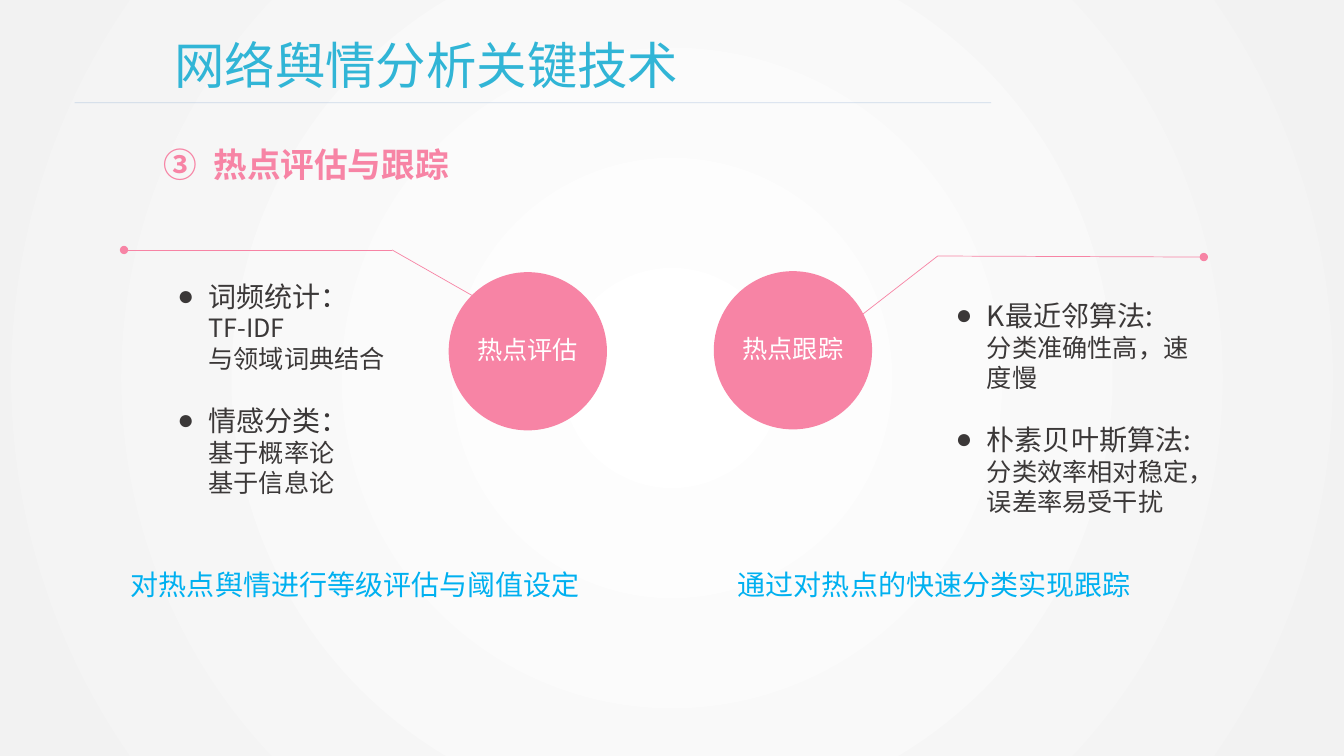
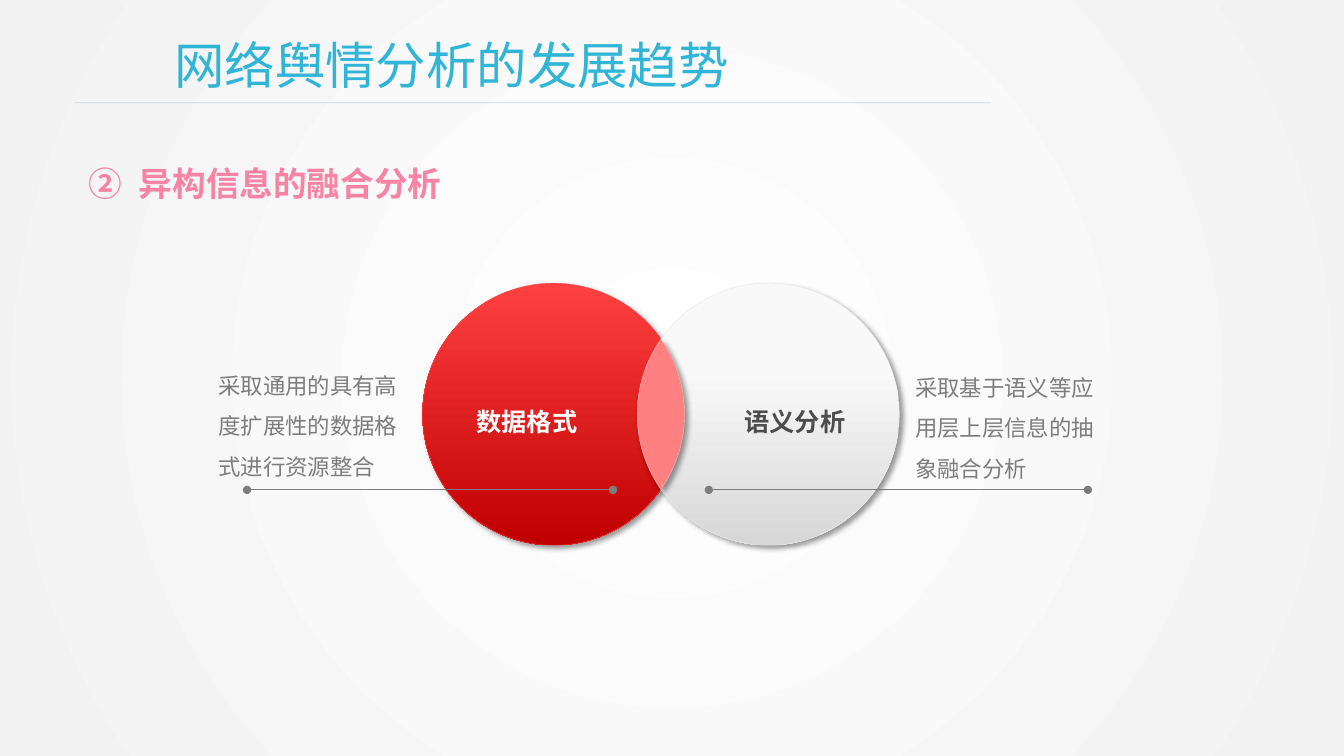
from dataclasses import dataclass
from itertools import pairwise
from math import acos, cos, pi, sin, tan

from lxml.etree import SubElement
from pptx import Presentation
from pptx.dml.color import RGBColor
from pptx.enum.dml import MSO_LINE
from pptx.enum.shapes import MSO_CONNECTOR, MSO_SHAPE
from pptx.enum.text import MSO_ANCHOR, PP_ALIGN
from pptx.oxml.ns import qn
from pptx.util import Inches, Pt

FONT = "Noto Sans CJK SC"
WHITE = RGBColor(0xFF, 0xFF, 0xFF)
PALE = RGBColor(0xF2, 0xF2, 0xF2)
PINK = RGBColor(0xF7, 0x84, 0xA5)
TEAL = RGBColor(0x31, 0xB5, 0xD6)
SKY = RGBColor(0x00, 0xB0, 0xF0)
RULE = RGBColor(0x4A, 0x7E, 0xBB)
DARK = RGBColor(0x3B, 0x38, 0x38)
GREY = RGBColor(0x7D, 0x7D, 0x7D)
CHARCOAL = RGBColor(0x4D, 0x4D, 0x4D)
RED = RGBColor(0xFF, 0x40, 0x40)
DEEP_RED = RGBColor(0xC0, 0x00, 0x00)
SILVER = RGBColor(0xF9, 0xF9, 0xF9)
DEEP_SILVER = RGBColor(0xD7, 0xD7, 0xD7)
SILVER_EDGE = RGBColor(0xEA, 0xEA, 0xEA)
ROSE = RGBColor(0xFF, 0x80, 0x80)
ROSE_EDGE = RGBColor(0xFF, 0xBF, 0xBF)

Point = tuple[float, float]
Curve = tuple[Point, Point, Point]
Box = tuple[float, float, float, float]


@dataclass(frozen=True)
class Style:
    size: float
    color: RGBColor
    bold: bool = False


@dataclass(frozen=True)
class Topic:
    name: str
    details: tuple[str, ...]


@dataclass(frozen=True)
class Branch:
    label: str
    circle: Point
    route: tuple[Point, Point, Point]
    list_box: Box
    topics: tuple[Topic, ...]
    summary: str
    summary_left: float


@dataclass(frozen=True)
class Piece:
    outline: list[Curve]
    stops: tuple[tuple[float, RGBColor], ...]
    edge: RGBColor
    label: str = ""
    color: RGBColor = WHITE
    insets: Point = (0.1, 0.1)


@dataclass(frozen=True)
class Note:
    box: Box
    text: str
    line_from: float
    line_to: float


TITLE = Style(36, TEAL)
HEADING = Style(24, PINK, True)
TOPIC = Style(20, DARK)
DETAIL = Style(18, DARK)
SUMMARY = Style(20, SKY)
NOTE = Style(16, GREY)
CIRCLE_LABEL = Style(18, WHITE)

CIRCLE_SIZE = 1.57
RADIUS = 1.3
LEFT_X, RIGHT_X, CENTER_Y = 5.49, 7.62, 4.11
NOTE_LINE_Y = 4.86

BRANCHES = (
    Branch(
        "热点评估", (4.45, 2.7), ((4.68, 2.93), (3.89, 2.48), (1.23, 2.48)),
        (1.66, 2.72, 2.31, 2.52),
        (Topic("词频统计：", ("TF-IDF", "与领域词典结合")),
         Topic("情感分类：", ("基于概率论", "基于信息论"))),
        "对热点舆情进行等级评估与阈值设定", 1.2,
    ),
    Branch(
        "热点跟踪", (7.08, 2.69), ((8.54, 3.13), (9.3, 2.54), (11.94, 2.55)),
        (9.38, 2.91, 2.75, 2.52),
        (Topic("K最近邻算法:", ("分类准确性高，速度慢",)),
         Topic("朴素贝叶斯算法:", ("分类效率相对稳定，误差率易受干扰",))),
        "通过对热点的快速分类实现跟踪", 7.22,
    ),
)

NOTES = (
    Note((2.07, 3.51, 2.08, 1.27), "采取通用的具有高度扩展性的数据格式进行资源整合", 2.45, 6.08),
    Note((8.98, 3.53, 2.03, 1.27), "采取基于语义等应用层上层信息的抽象融合分析", 7.03, 10.79),
)


def add_run(p, text: str, style: Style) -> None:
    r = p.add_run()
    r.text = text
    r.font.size = Pt(style.size)
    r.font.bold = style.bold
    r.font.color.rgb = style.color
    r.font.name = FONT
    SubElement(r._r.rPr, qn("a:ea"), typeface=FONT)


def add_box(s, box: Box, wrap: bool = True):
    tf = s.shapes.add_textbox(*map(Inches, box)).text_frame
    tf.word_wrap = wrap
    return tf


def add_text(s, box: Box, text: str, style: Style, spacing: float = 1.0) -> None:
    p = add_box(s, box).paragraphs[0]
    p.line_spacing = spacing
    add_run(p, text, style)


def indent(p, margin: float, hanging: bool):
    pPr = p._p.get_or_add_pPr()
    pPr.set("marL", str(Inches(margin)))
    pPr.set("indent", str(-Inches(margin) if hanging else 0))
    return pPr


def add_line(s, start: Point, end: Point, color: RGBColor, width: float,
             head: bool = False, tail: bool = False, alpha: int = 100) -> None:
    line = s.shapes.add_connector(MSO_CONNECTOR.STRAIGHT, *map(Inches, start + end))
    line.line.color.rgb = color
    line.line.width = Pt(width)
    line.line.dash_style = MSO_LINE.SOLID
    ln = line.line._get_or_add_ln()
    if alpha < 100:
        SubElement(ln.find(".//" + qn("a:srgbClr")), qn("a:alpha"), val=str(alpha * 1000))
    for shown, tag in ((head, "a:headEnd"), (tail, "a:tailEnd")):
        if shown:
            SubElement(ln, qn(tag), type="oval")
    SubElement(line._element.spPr, qn("a:effectLst"))


def set_gradient(fill, stops: tuple[tuple[float, RGBColor], ...]) -> None:
    fill.gradient()
    for stop, (position, color) in zip(fill.gradient_stops, stops):
        stop.position = position
        stop.color.rgb = color


def set_background(master) -> None:
    set_gradient(master.background.fill, ((0, WHITE), (1, PALE)))
    grad = master._element.find(".//" + qn("a:gradFill"))
    grad.remove(grad.find(qn("a:lin")))
    circle = SubElement(grad, qn("a:path"), {"path": "circle"})
    SubElement(circle, qn("a:fillToRect"), dict.fromkeys("ltrb", "50000"))


def add_slide(prs, title: str, heading: str, number: int, heading_box: Box):
    s = prs.slides.add_slide(prs.slide_layouts[6])
    add_text(s, (1.63, 0.29, 8.5, 0.71), title, TITLE)
    add_line(s, (0.74, 1.02), (9.83, 1.02), RULE, 0.5, alpha=25)
    p = add_box(s, heading_box, wrap=False).paragraphs[0]
    SubElement(indent(p, 0.5, True), qn("a:buAutoNum"),
               type="circleNumDbPlain", startAt=str(number))
    add_run(p, heading, HEADING)
    return s


def add_topics(s, box: Box, topics: tuple[Topic, ...]) -> None:
    tf = add_box(s, box)
    for i, topic in enumerate(topics):
        p = tf.add_paragraph() if i else tf.paragraphs[0]
        if i:
            p.space_before = Pt(21.5)
        pPr = indent(p, 0.31, True)
        SubElement(pPr, qn("a:buFont"), typeface="Arial")
        SubElement(pPr, qn("a:buChar"), char="●")
        add_run(p, topic.name, TOPIC)
        for detail in topic.details:
            p = tf.add_paragraph()
            indent(p, 0.31, False)
            add_run(p, detail, DETAIL)


def add_branch(s, branch: Branch) -> None:
    start, bend, end = branch.route
    add_line(s, bend, start, PINK, 0.5)
    add_line(s, bend, end, PINK, 0.5, tail=True)
    sp = s.shapes.add_shape(MSO_SHAPE.FLOWCHART_CONNECTOR, *map(Inches, branch.circle),
                            Inches(CIRCLE_SIZE), Inches(CIRCLE_SIZE))
    sp.shadow.inherit = False
    sp.fill.solid()
    sp.fill.fore_color.rgb = PINK
    sp.line.fill.background()
    tf = sp.text_frame
    tf.word_wrap = False
    tf.vertical_anchor = MSO_ANCHOR.MIDDLE
    tf.margin_bottom = Inches(0.09)
    p = tf.paragraphs[0]
    p.alignment = PP_ALIGN.CENTER
    add_run(p, branch.label, CIRCLE_LABEL)
    add_topics(s, branch.list_box, branch.topics)
    add_text(s, (branch.summary_left, 5.58, 5.07, 0.44), branch.summary, SUMMARY)


def arc(center_x: float, *angles: float) -> list[Curve]:
    def at(angle: float, pull: float = 0) -> Point:
        return (center_x + RADIUS * (cos(angle) - pull * sin(angle)),
                CENTER_Y + RADIUS * (sin(angle) + pull * cos(angle)))

    curves = []
    for a, b in pairwise(angles):
        pull = 4 / 3 * tan((b - a) / 4)
        curves.append((at(a, pull), at(b, -pull), at(b)))
    return curves


def venn_pieces() -> tuple[Piece, ...]:
    half = acos((RIGHT_X - LEFT_X) / 2 / RADIUS)
    left = (arc(LEFT_X, half, pi / 2, pi, 1.5 * pi, 2 * pi - half)
            + arc(RIGHT_X, pi + half, pi, pi - half))
    right = (arc(RIGHT_X, half - pi, -pi / 2, 0, pi / 2, pi - half)
             + arc(LEFT_X, half, 0, -half))
    lens = arc(LEFT_X, -half, 0, half) + arc(RIGHT_X, pi - half, pi, pi + half)
    reds = ((0, RED), (1, DEEP_RED))
    silvers = ((0.33, SILVER), (1, DEEP_SILVER))
    return (
        Piece(left, reds, RED, "数据格式", WHITE, (0.1, 0.39)),
        Piece(lens, reds, RED),
        Piece(right, silvers, SILVER_EDGE, "语义分析", CHARCOAL, (0.39, 0.1)),
        Piece(lens, ((0, ROSE),), ROSE_EDGE),
    )


def add_shadow(sp) -> None:
    sp.shadow.inherit = False
    effects = sp._element.spPr.find(qn("a:effectLst"))
    shadow = SubElement(effects, qn("a:outerShdw"), blurRad=str(Pt(4)), dist=str(Pt(3)),
                        dir=str(45 * 60000), algn="tl", rotWithShape="0")
    color = SubElement(shadow, qn("a:srgbClr"), val="000000")
    SubElement(color, qn("a:alpha"), val="40000")


def add_outline(s, outline: list[Curve]):
    ends = [(Inches(x), Inches(y)) for _, _, (x, y) in outline]
    builder = s.shapes.build_freeform(*ends[-1])
    builder.add_line_segments(ends, close=True)
    sp = builder.convert_to_shape()
    segments = sp._element.spPr.findall(".//" + qn("a:lnTo"))
    for segment, curve in zip(segments, outline):
        segment.tag = qn("a:cubicBezTo")
        segment.remove(segment[0])
        for x, y in curve:
            SubElement(segment, qn("a:pt"), x=str(Inches(x) - sp.left), y=str(Inches(y) - sp.top))
    return sp


def add_piece(s, piece: Piece) -> None:
    sp = add_outline(s, piece.outline)
    if len(piece.stops) > 1:
        set_gradient(sp.fill, piece.stops)
        sp.fill.gradient_angle = 270
    else:
        sp.fill.solid()
        sp.fill.fore_color.rgb = piece.stops[0][1]
    sp.line.color.rgb = piece.edge
    sp.line.width = Pt(0.25)
    add_shadow(sp)
    if piece.label:
        tf = sp.text_frame
        tf.word_wrap = True
        tf.vertical_anchor = MSO_ANCHOR.MIDDLE
        tf.margin_left, tf.margin_right = map(Inches, piece.insets)
        p = tf.paragraphs[0]
        p.alignment = PP_ALIGN.CENTER
        p.line_spacing = 1.5
        add_run(p, piece.label, Style(18, piece.color, True))


def main() -> None:
    prs = Presentation()
    prs.slide_width, prs.slide_height = Inches(13.33), Inches(7.5)
    set_background(prs.slide_master)

    s = add_slide(prs, "网络舆情分析关键技术", "热点评估与跟踪", 3, (1.52, 1.38, 3.06, 0.5))
    for branch in BRANCHES:
        add_branch(s, branch)

    s = add_slide(prs, "网络舆情分析的发展趋势", "异构信息的融合分析", 2, (0.78, 1.57, 3.74, 0.5))
    for piece in venn_pieces():
        add_piece(s, piece)
    for note in NOTES:
        add_text(s, note.box, note.text, NOTE, spacing=1.5)
        add_line(s, (note.line_from, NOTE_LINE_Y), (note.line_to, NOTE_LINE_Y),
                 GREY, 0.75, head=True, tail=True)

    prs.save("out.pptx")


if __name__ == "__main__":
    main()
